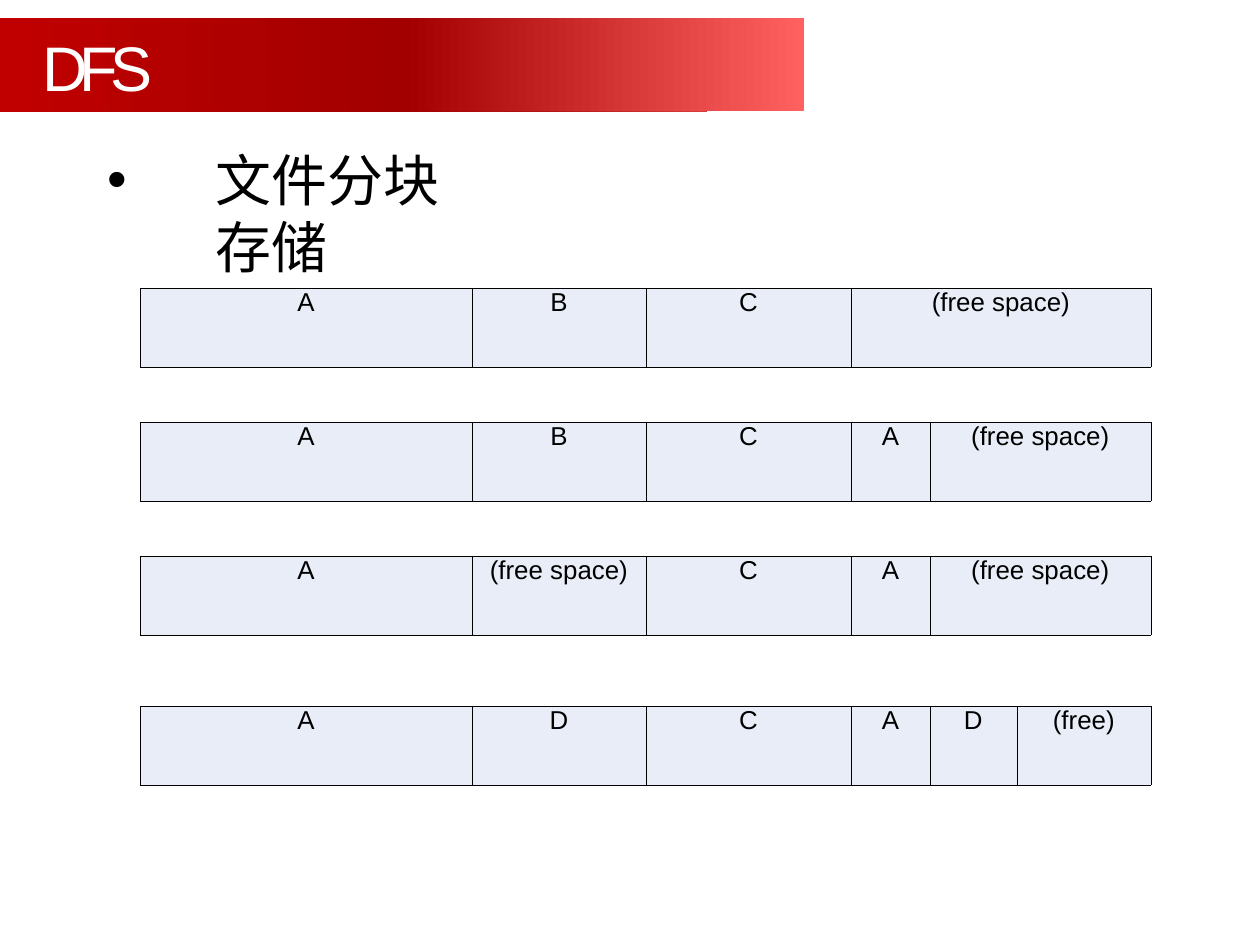
"""Builds the DFS slide on how files are stored in blocks."""
from copy import deepcopy

from pptx import Presentation
from pptx.dml.color import RGBColor
from pptx.enum.text import MSO_ANCHOR, MSO_AUTO_SIZE, PP_ALIGN
from pptx.oxml import parse_xml
from pptx.oxml.ns import nsdecls, qn
from pptx.util import Pt

EMU_PER_PX = 6880
BLACK, WHITE = "000000", "FFFFFF"
BAND_STOPS = [(0, "C00000"), (0.5, "A20000"), (1, "FF6161")]
COLUMN_WIDTHS = [332, 174, 205, 79, 87, 134]
STORAGE_STATES = [
    (288, ["A", "B", "C", "(free space)"]),
    (422, ["A", "B", "C", "A", "(free space)"]),
    (556, ["A", "(free space)", "C", "A", "(free space)"]),
    (706, ["A", "D", "C", "A", "D", "(free)"]),
]


def px(*lengths):
    return [length * EMU_PER_PX for length in lengths]


def color(value):
    return RGBColor.from_string(value)


def write(frame, text, size=14, font="Arial", ink=BLACK, align=PP_ALIGN.CENTER, spacing=0):
    paragraph = frame.paragraphs[0]
    paragraph.alignment = align
    run = paragraph.add_run()
    run.text = text
    run.font.size = Pt(size)
    run.font.name = font
    run.font.color.rgb = color(ink)
    properties = run.font._element
    properties.append(parse_xml(f'<a:ea {nsdecls("a")} typeface="{font}"/>'))
    if spacing:
        properties.set("spc", str(spacing))
    return paragraph


class StorageSlide:
    def __init__(self, deck):
        self.slide = deck.slides.add_slide(deck.slide_layouts[5])
        self.cell_fill = "E8EDF7"
        self.border_width = Pt(0.3)

    def band(self, corners):
        builder = self.slide.shapes.build_freeform(*corners[0], scale=EMU_PER_PX)
        builder.add_line_segments(corners[1:], close=True)
        band = builder.convert_to_shape()
        band.shadow.inherit = False
        band.line.fill.background()
        band.fill.gradient()
        band.fill.gradient_angle = 0
        stop_list = band._element.spPr.find(".//" + qn("a:gsLst"))
        stop_list.append(deepcopy(stop_list[0]))
        for stop, (position, shade) in zip(band.fill.gradient_stops, BAND_STOPS):
            stop.position = position
            stop.color.rgb = color(shade)
        self.slide.shapes._spTree.insert(2, band._element)

    def frame(self, shape, top_inset):
        frame = shape.text_frame
        frame.word_wrap = True
        frame.auto_size = MSO_AUTO_SIZE.NONE
        frame.vertical_anchor = MSO_ANCHOR.TOP
        frame.margin_left = frame.margin_right = frame.margin_bottom = 0
        frame.margin_top, = px(top_inset)
        return frame

    def title(self, text, *box):
        title = self.slide.shapes.title
        title.left, title.top, title.width, title.height = px(*box)
        write(self.frame(title, 6), text, size=34.1, ink=WHITE, spacing=-420)

    def bullet(self, text, *box, hang):
        frame = self.frame(self.slide.shapes.add_textbox(*px(*box)), 6)
        properties = frame.paragraphs[0]._p.get_or_add_pPr()
        indent, = px(hang)
        properties.set("marL", str(indent))
        properties.set("indent", str(-indent))
        properties.append(parse_xml(f'<a:buFont {nsdecls("a")} typeface="Arial"/>'))
        properties.append(parse_xml(f'<a:buChar {nsdecls("a")} char="•"/>'))
        paragraph = write(frame, text, size=30.3, font="Noto Sans CJK TC",
                          align=PP_ALIGN.LEFT, spacing=-10)
        paragraph.line_spacing = Pt(36.3)

    def blocks(self, labels, left, top, height):
        last = len(labels) - 1
        widths = COLUMN_WIDTHS[:last] + [sum(COLUMN_WIDTHS[last:])]
        table = self.slide.shapes.add_table(
            1, len(labels), *px(left, top, sum(widths), height)).table
        table.first_row = table.horz_banding = False
        for column, width, cell, label in zip(table.columns, widths, table.rows[0].cells, labels):
            column.width, = px(width)
            cell.margin_left = cell.margin_right = cell.margin_top = cell.margin_bottom = 0
            cell.fill.solid()
            cell.fill.fore_color.rgb = color(self.cell_fill)
            self.borders(cell)
            write(cell.text_frame, label)

    def borders(self, cell):
        for index, side in enumerate("LRTB"):
            cell._tc.get_or_add_tcPr().insert(index, parse_xml(
                f'<a:ln{side} {nsdecls("a")} w="{self.border_width}"><a:solidFill>'
                f'<a:srgbClr val="{BLACK}"/></a:solidFill></a:ln{side}>'))


def main():
    deck = Presentation()
    deck.slide_width, deck.slide_height = px(1260, 945)
    page = StorageSlide(deck)
    page.band([(0, 18), (804, 18), (804, 111), (0, 112)])
    page.title("DFS", 3, 23, 189, 80)
    page.bullet("文件分块存储", 108, 140, 353, 140, hang=108)
    for top, labels in STORAGE_STATES:
        page.blocks(labels, left=140, top=top, height=79)
    deck.save("out.pptx")


if __name__ == "__main__":
    main()
